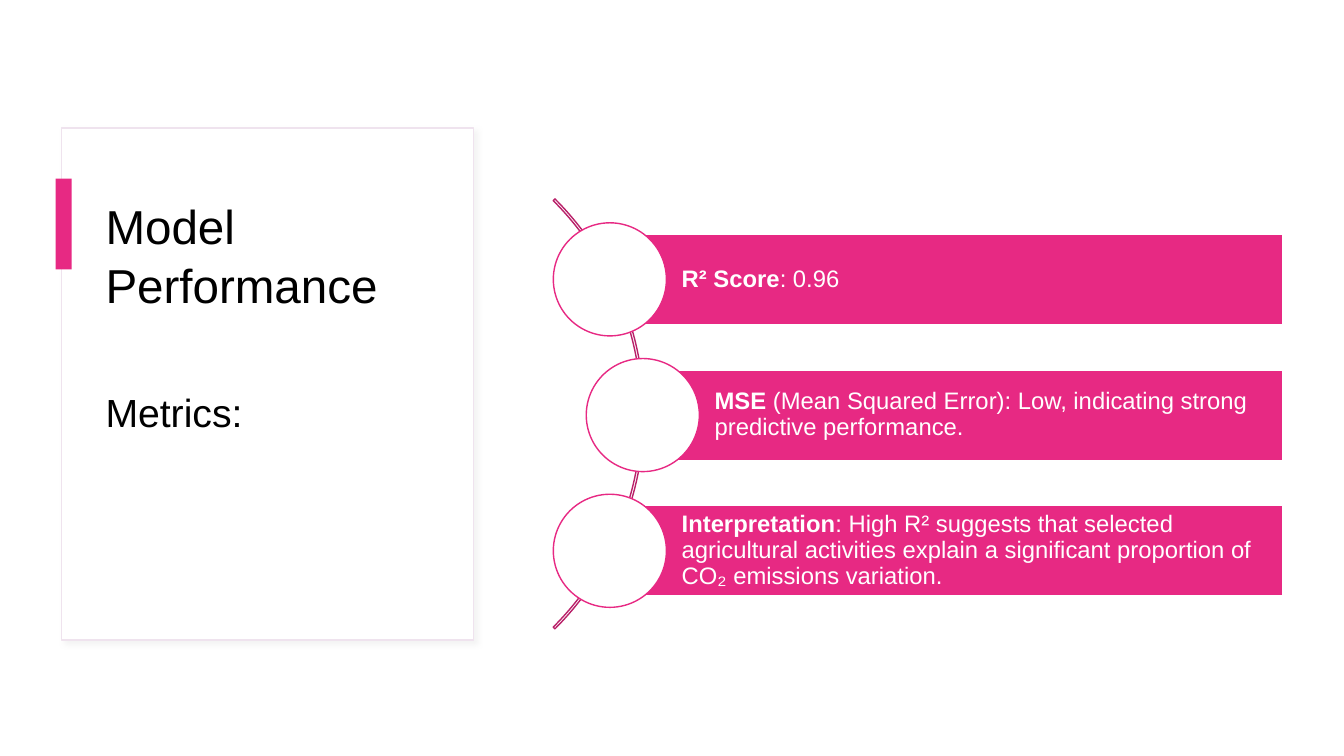
from lxml import etree
from pptx import Presentation
from pptx.dml.color import RGBColor
from pptx.enum.shapes import MSO_SHAPE as SHAPE
from pptx.enum.text import MSO_ANCHOR as ANCHOR, MSO_AUTO_SIZE as AUTO, PP_ALIGN as ALIGN
from pptx.oxml import parse_xml
from pptx.util import Cm, Pt

PINK, WHITE, BLACK = "E72983", "FFFFFF", "000000"
A_NS = "http://schemas.openxmlformats.org/drawingml/2006/main"


def add_shape(kind, left, top, width, height, fill=None, line=None):
    """Add a shadowless shape, lengths in cm; None means no fill or no line."""
    sp = s.shapes.add_shape(kind, Cm(left), Cm(top), Cm(width), Cm(height))
    sp.shadow.inherit = False
    if fill:
        sp.fill.solid()
        sp.fill.fore_color.rgb = RGBColor.from_string(fill)
    else:
        sp.fill.background()
    if line:
        sp.line.color.rgb = RGBColor.from_string(line)
        sp.line.width = Pt(1)
    else:
        sp.line.fill.background()
    return sp


def write(sp, runs, size, color, anchor, spacing):
    """Fill a shape with one left-aligned paragraph of (text, bold) runs."""
    tf = sp.text_frame
    frame_format = {"word_wrap": True, "auto_size": AUTO.NONE, "vertical_anchor": anchor,
                    "margin_left": Cm(0.25), "margin_right": Cm(0.13 if color == WHITE else 0.25),
                    "margin_top": Cm(0.13), "margin_bottom": Cm(0.13)}
    for name, value in frame_format.items():
        setattr(tf, name, value)
    p = tf.paragraphs[0]
    p.alignment, p.line_spacing = ALIGN.LEFT, spacing
    for text, bold in runs:
        r = p.add_run()
        r.text = text
        for name, value in {"name": "Arial", "size": Pt(size), "bold": bold}.items():
            setattr(r.font, name, value)
        r.font.color.rgb = RGBColor.from_string(color)
    return p


prs = Presentation()
prs.slide_width, prs.slide_height = Cm(33.87), Cm(19.05)
s = prs.slides.add_slide(prs.slide_layouts[5])

# Title panel with a soft shadow and an accent bar
panel = add_shape(SHAPE.RECTANGLE, 1.55, 3.23, 10.39, 12.9, WHITE, "EFE3EE")
effects = panel._element.spPr.find(f"{{{A_NS}}}effectLst")
effects.append(parse_xml(
    f'<a:outerShdw xmlns:a="{A_NS}" blurRad="{Pt(4)}" dist="{Pt(3)}" dir="2700000">'
    '<a:srgbClr val="D9D9D9"><a:alpha val="30000"/></a:srgbClr></a:outerShdw>'))
add_shape(SHAPE.RECTANGLE, 1.4, 4.5, 0.41, 2.29, PINK)

title = s.shapes.title
title.left, title.top, title.width, title.height = Cm(2.41), Cm(4.75), Cm(8.61), Cm(4.75)
write(title, [("Model Performance", False)], 34, BLACK, ANCHOR.TOP, 1.05)
s.shapes._spTree.append(title._element)  # bring the title in front of the panel

subtitle = s.shapes.add_textbox(Cm(2.41), Cm(9.53), Cm(8.61), Cm(5.74))
write(subtitle, [("Metrics:", False)], 28, BLACK, ANCHOR.TOP, 1.1).space_before = Pt(10)

# Arc with three metrics along it
arc = add_shape(SHAPE.BLOCK_ARC, 0.91, 2.77, 15.32, 15.32, line="B92169")
for i, value in enumerate((189, 27, 0.004)):
    arc.adjustments[i] = value

metrics = [
    ("R² Score", ": 0.96"),
    ("MSE", "\N{NO-BREAK SPACE}(Mean Squared Error): Low, indicating strong predictive performance."),
    ("Interpretation", ": High R² suggests that selected agricultural activities explain "
                       "a significant proportion of CO₂ emissions variation."),
]
BAR_TOP, BAR_H, PITCH, BAR_RIGHT, CIRCLE = 5.9, 2.28, 3.42, 32.33, 2.85
for i, (name, detail) in enumerate(metrics):
    left = 16.2 if i == 1 else 15.37
    top = BAR_TOP + i * PITCH
    bar = add_shape(SHAPE.RECTANGLE, left, top, BAR_RIGHT - left, BAR_H, PINK, WHITE)
    write(bar, [(name, True), (detail, False)], 17, WHITE, ANCHOR.MIDDLE, 0.9)
    bar.text_frame.margin_left = Cm(1.81)
    add_shape(SHAPE.OVAL, left - CIRCLE / 2, top + (BAR_H - CIRCLE) / 2, CIRCLE, CIRCLE, WHITE, PINK)

prs.save("out.pptx")
